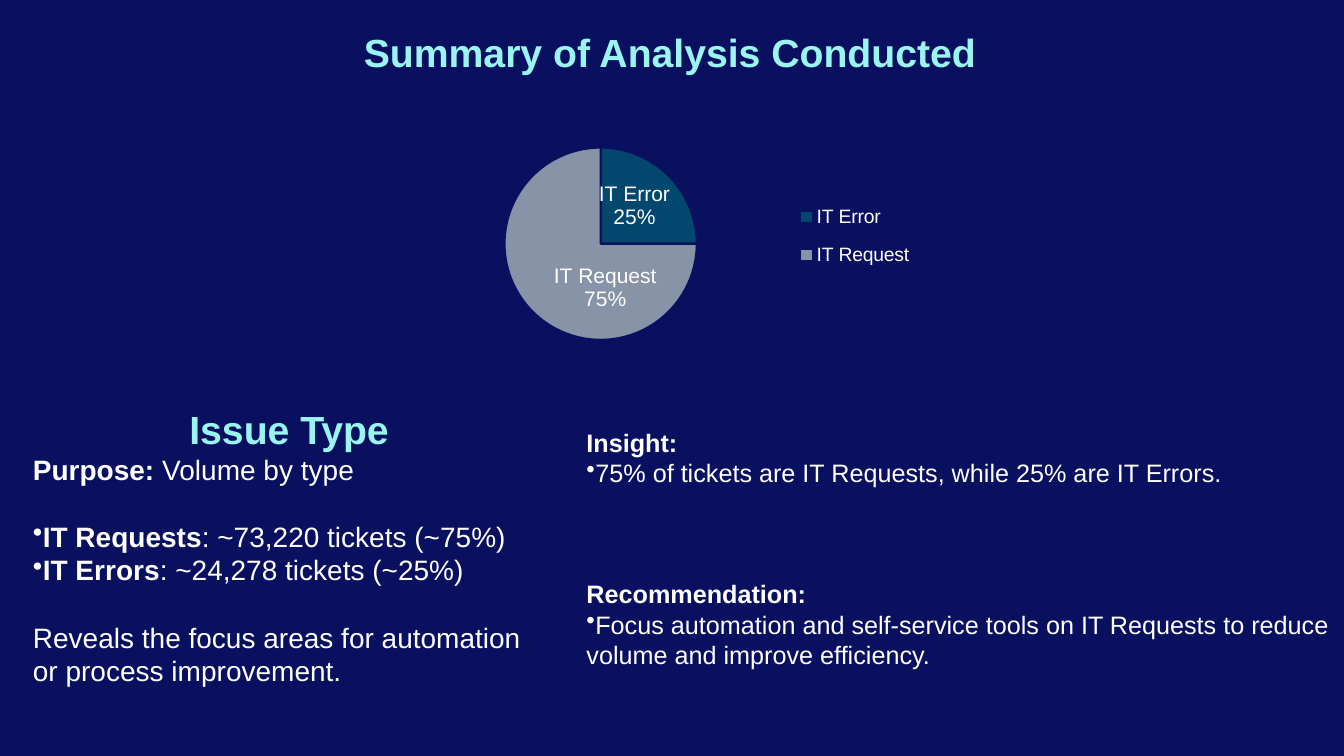
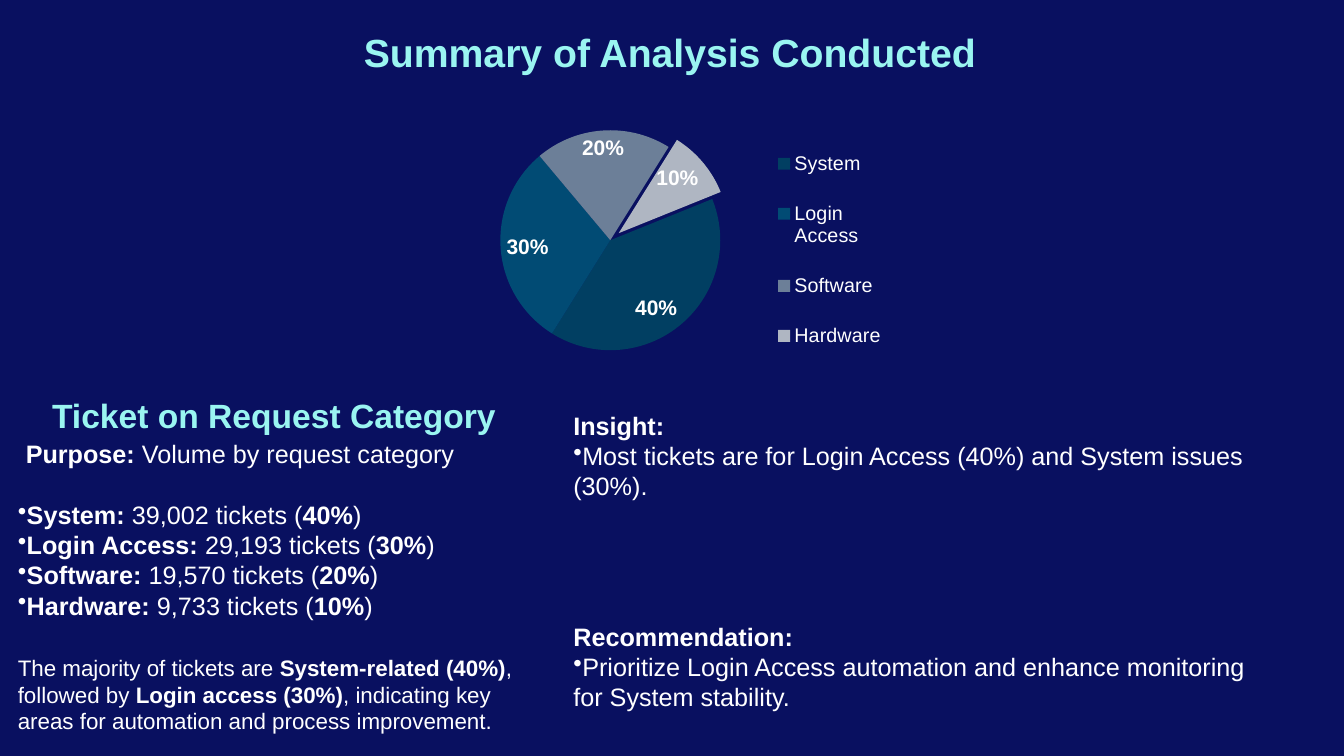
from dataclasses import dataclass

from lxml import etree
from pptx import Presentation
from pptx import util as u
from pptx.chart.data import CategoryChartData
from pptx.dml.color import RGBColor
from pptx.enum import chart as charts, text
from pptx.oxml.ns import qn


@dataclass(frozen=True)
class Theme:
    font: str = "Arial"
    background: str = "091060"
    accent: str = "9AF5F1"
    body: str = "FFFFFF"
    title_size: int = 28
    label_size: int = 15


theme = Theme()


def add_text(slide, box, lines, anchor=text.MSO_ANCHOR.TOP, inset=None):
    shape = slide.shapes.add_textbox(*(u.Cm(length) for length in box))
    frame = shape.text_frame
    frame.word_wrap = True
    frame.vertical_anchor = anchor
    if inset is not None:
        frame.margin_left = frame.margin_right = u.Cm(inset)
        frame.margin_top = frame.margin_bottom = u.Cm(inset)
    for index, line in enumerate(lines):
        paragraph = frame.paragraphs[0] if index == 0 else frame.add_paragraph()
        properties = paragraph._p.get_or_add_pPr()
        properties.set("marL", str(u.Cm(line.get("indent", 0))))
        properties.set("indent", "0")
        if line.get("bullet"):
            etree.SubElement(properties, qn("a:buChar"), char="•")
        paragraph.alignment = line.get("align", text.PP_ALIGN.LEFT)
        paragraph.space_before = u.Pt(line.get("gap", 0))
        paragraph.font.name = theme.font
        paragraph.font.size = u.Pt(line["size"])
        paragraph.font.color.rgb = RGBColor.from_string(line.get("color", theme.body))
        for position, part in enumerate(line["text"].split("**")):
            if part:
                run = paragraph.add_run()
                run.text = part
                run.font.bold = position % 2 == 1


def set_layout(parent, index, target=None, edge=True, **fractions):
    for old in parent.findall(qn("c:layout")):
        parent.remove(old)
    layout = etree.Element(qn("c:layout"))
    manual = etree.SubElement(layout, qn("c:manualLayout"))
    if target:
        etree.SubElement(manual, qn("c:layoutTarget"), val=target)
    if edge:
        for mode in ("xMode", "yMode"):
            etree.SubElement(manual, qn(f"c:{mode}"), val="edge")
    for name, value in fractions.items():
        etree.SubElement(manual, qn(f"c:{name}"), val=str(value))
    parent.insert(index, layout)


pages = [
    {
        "summary_box": (0.58, 10.08, 13.41, 7.44),
        "summary": [
            {"text": "**Issue Type**", "size": 28, "color": theme.accent, "align": text.PP_ALIGN.CENTER},
            {"text": "**Purpose:** Volume by type", "size": 20},
            {"text": "**IT Requests**: ~73,220 tickets (~75%)", "size": 20, "bullet": True, "gap": 24},
            {"text": "**IT Errors**: ~24,278 tickets (~25%)", "size": 20, "bullet": True},
            {"text": "Reveals the focus areas for automation or process improvement.", "size": 20, "gap": 24},
        ],
        "chart_box": (9.58, 2.54, 14.25, 7.75),
        "slices": [("IT Error", 25, "01476E"), ("IT Request", 75, "8793A7")],
        "start": 0,
        "exploded": None,
        "border": True,
        "category_labels": True,
        "label_bold": False,
        "label_shifts": {0: (0.01, 0.01), 1: (0.03, 0.01)},
        "plot": {"x": 0.22, "y": 0.15, "w": 0.34, "h": 0.63},
        "legend": {"x": 0.73, "y": 0.29, "w": 0.22, "h": 0.3},
        "legend_size": 13.8,
        "advice_box": (14.53, 10.64, 19.33, 7.19),
        "insight": "75% of tickets are IT Requests, while 25% are IT Errors.",
        "recommendation": "Focus automation and self-service tools on IT Requests to reduce volume and improve efficiency.",
        "advice_gap": 65,
    },
    {
        "summary_box": (0.2, 9.83, 13.41, 8.89),
        "summary": [
            {"text": "**Ticket on Request Category**", "size": 24, "color": theme.accent, "align": text.PP_ALIGN.CENTER},
            {"text": "**Purpose:** Volume by request category", "size": 18, "indent": 0.2, "gap": 2},
            {"text": "**System:** 39,002 tickets (**40%**)", "size": 18, "bullet": True, "gap": 22},
            {"text": "**Login Access:** 29,193 tickets (**30%**)", "size": 18, "bullet": True},
            {"text": "**Software:** 19,570 tickets (**20%**)", "size": 18, "bullet": True},
            {"text": "**Hardware:** 9,733 tickets (**10%**)", "size": 18, "bullet": True},
            {
                "text": "The majority of tickets are **System-related (40%)**, followed by "
                "**Login access (30%)**, indicating key areas for automation and process improvement.",
                "size": 16,
                "gap": 24,
            },
        ],
        "chart_box": (11.18, 2.59, 11.51, 6.93),
        "slices": [
            ("System", 40, "013F62"),
            ("Login Access", 30, "014B74"),
            ("Software", 20, "6C7F98"),
            ("Hardware", 10, "AFB6C2"),
        ],
        "start": 68,
        "exploded": 3,
        "border": False,
        "category_labels": False,
        "label_bold": True,
        "label_shifts": {},
        "plot": {"x": 0.12, "y": 0.1, "w": 0.49, "h": 0.8},
        "legend": {"x": 0.72, "y": 0.08, "w": 0.25, "h": 0.91},
        "legend_size": 14.1,
        "advice_box": (14.2, 10.21, 17.63, 7.95),
        "insight": "Most tickets are for Login Access (40%) and System issues (30%).",
        "recommendation": "Prioritize Login Access automation and enhance monitoring for System stability.",
        "advice_gap": 86,
    },
]

presentation = Presentation()
presentation.slide_width = u.Cm(33.87)
presentation.slide_height = u.Cm(19.05)

for page in pages:
    slide = presentation.slides.add_slide(presentation.slide_layouts[6])
    slide.background.fill.solid()
    slide.background.fill.fore_color.rgb = RGBColor.from_string(theme.background)

    title = {
        "text": "**Summary of Analysis Conducted**",
        "size": theme.title_size,
        "color": theme.accent,
        "align": text.PP_ALIGN.RIGHT,
    }
    add_text(slide, (8.51, 0.33, 16.41, 1.93), [title], text.MSO_ANCHOR.MIDDLE, 0.33)
    add_text(slide, page["summary_box"], page["summary"])

    data = CategoryChartData()
    data.categories = [name for name, value, color in page["slices"]]
    data.add_series("Series 1", [value for name, value, color in page["slices"]])
    box = [u.Cm(length) for length in page["chart_box"]]
    chart = slide.shapes.add_chart(charts.XL_CHART_TYPE.PIE, *box, data).chart
    chart.has_title = False
    chart.font.name = theme.font
    chart.font.size = u.Pt(10)
    chart.font.color.rgb = RGBColor.from_string(theme.body)
    chart.has_legend = True
    legend = chart.legend
    legend.position = charts.XL_LEGEND_POSITION.RIGHT
    legend.include_in_layout = False
    legend.font.name = theme.font
    legend.font.size = u.Pt(page["legend_size"])
    legend.font.color.rgb = RGBColor.from_string(theme.body)
    set_layout(legend._element, 1, **page["legend"])

    plot = chart.plots[0]
    plot.vary_by_categories = True
    set_layout(plot._element.getparent(), 0, "inner", **page["plot"])
    etree.SubElement(plot._element, qn("c:firstSliceAng"), val=str(page["start"]))
    series = plot.series[0]
    for index, (name, value, color) in enumerate(page["slices"]):
        point = series.points[index]
        point.format.fill.solid()
        point.format.fill.fore_color.rgb = RGBColor.from_string(color)
        if page["border"]:
            point.format.line.color.rgb = RGBColor.from_string(theme.background)
            point.format.line.width = u.Pt(1.5)
        else:
            point.format.line.fill.background()
    if page["exploded"] is not None:
        properties = series._element.findall(qn("c:dPt"))[page["exploded"]].find(qn("c:spPr"))
        explosion = etree.Element(qn("c:explosion"), val="10")
        properties.addprevious(explosion)

    labels = series.data_labels
    labels.show_percentage = True
    labels.show_value = False
    labels.show_category_name = page["category_labels"]
    labels.number_format = "0%"
    labels.number_format_is_linked = False
    point_labels = [series.points[index].data_label for index in page["label_shifts"]]
    for label in [labels, *point_labels]:
        label.position = charts.XL_LABEL_POSITION.INSIDE_END
        label.font.name = theme.font
        label.font.size = u.Pt(theme.label_size)
        label.font.bold = page["label_bold"]
        label.font.color.rgb = RGBColor.from_string(theme.body)
    group = series._element.find(qn("c:dLbls"))
    for body in group.iter(qn("a:bodyPr")):
        body.set("wrap", "none")
    for element, (x, y) in zip(group.findall(qn("c:dLbl")), page["label_shifts"].values()):
        set_layout(element, 1, edge=False, x=x, y=y)
        for flag, shown in (("showVal", "0"), ("showCatName", "1"), ("showPercent", "1")):
            element.find(qn(f"c:{flag}")).set("val", shown)
    if page["category_labels"]:
        for element in [group, *group.findall(qn("c:dLbl"))]:
            separator = etree.Element(qn("c:separator"))
            separator.text = "\n"
            last_flag = element.find(qn("c:showBubbleSize"))
            if last_flag is None:
                last_flag = element.find(qn("c:showPercent"))
            last_flag.addnext(separator)

    advice = [
        {"text": "**Insight:**", "size": 18},
        {"text": page["insight"], "size": 18, "bullet": True},
        {"text": "**Recommendation:**", "size": 18, "gap": page["advice_gap"]},
        {"text": page["recommendation"], "size": 18, "bullet": True},
    ]
    add_text(slide, page["advice_box"], advice)

presentation.save("out.pptx")
